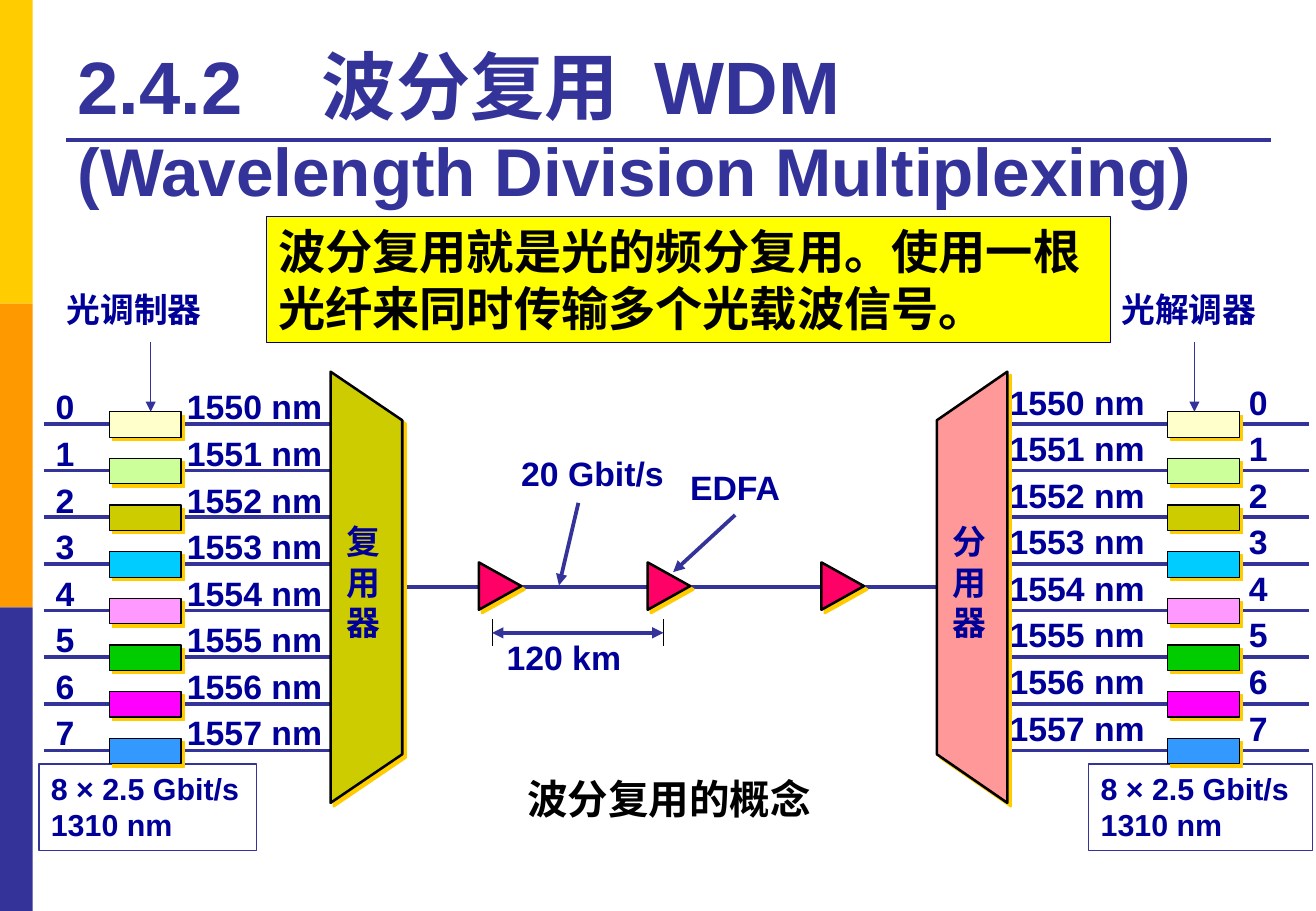
from collections import namedtuple
from dataclasses import dataclass

from lxml import etree
from pptx import Presentation
from pptx.dml.color import RGBColor
from pptx.enum.shapes import MSO_CONNECTOR, MSO_SHAPE
from pptx.enum.text import MSO_ANCHOR, PP_ALIGN
from pptx.oxml.ns import qn
from pptx.util import Pt

PX = 9144  # 100 px to the inch
RECTANGLE, TRIANGLE = MSO_SHAPE.RECTANGLE, MSO_SHAPE.ISOSCELES_TRIANGLE
STRAIGHT = MSO_CONNECTOR.STRAIGHT
TOP, BOTTOM = MSO_ANCHOR.TOP, MSO_ANCHOR.BOTTOM
CENTER = PP_ALIGN.CENTER

Box = namedtuple("Box", "left top width height")
Side = namedtuple("Side", "caption caption_x arrow_x labels tab label_x label_y block_x "
                  "mux mux_fill mux_wide mux_narrow mux_x rate_x rate_width")


@dataclass(frozen=True)
class Theme:
    font: str = "Arial"
    indigo: str = "333399"
    navy: str = "000099"
    black: str = "000000"
    gold: str = "FFCC00"
    orange: str = "FF9900"
    yellow: str = "FFFF00"
    olive: str = "CCCC00"
    salmon: str = "FF9999"
    amplifier: str = "FF0066"
    channels: tuple = ("FFFFCC", "CCFF99", "CCCC00", "00CCFF",
                       "FF99FF", "00CC00", "FF00FF", "3399FF")
    title: int = 44
    subtitle: int = 40
    definition: int = 28
    figure: int = 24
    label: int = 20
    rate: int = 18
    hairline: float = 0.75
    outline: float = 1.5
    heavy: float = 2.25


THEME = Theme()
CHANNELS = range(len(THEME.channels))
CHANNEL_PITCH = 38.4

TRANSMITTER = Side("光调制器", 9, 88, [f"{n}\t{1550 + n} nm" for n in CHANNELS], 108, 0, 75, 54,
                   "复用器", THEME.olive, 236, 295, 239, -4, 179)
RECEIVER = Side("光解调器", 84, 154, [f"{1550 + n} nm\t{n}" for n in CHANNELS], 197, -8, 71, 132,
                "分用器", THEME.salmon, 0, -58, -55, 67, 184)


def rgb(code):
    return RGBColor.from_string(code)


def paint(shape, fill=None, line=None, weight=THEME.hairline):
    if fill:
        shape.fill.solid()
        shape.fill.fore_color.rgb = rgb(fill)
    else:
        shape.fill.background()
    if line:
        shape.line.color.rgb = rgb(line)
        shape.line.width = Pt(weight)
    else:
        shape.line.fill.background()


def drop_shadow(shape):
    """Give the shape a hard gold shadow, down and to the right."""
    shape.shadow.inherit = False
    effects = shape._element.spPr.find(qn("a:effectLst"))
    shadow = etree.SubElement(effects, qn("a:outerShdw"), blurRad="0", dist="35921",
                              dir="2700000", algn="ctr", rotWithShape="0")
    etree.SubElement(shadow, qn("a:srgbClr"), val=THEME.gold)


def add_block(slide, box, fill, line=None, weight=THEME.hairline, kind=RECTANGLE):
    block = slide.shapes.add_shape(kind, *(round(side * PX) for side in box))
    block.shadow.inherit = False
    paint(block, fill, line, weight)
    return block


def add_line(slide, start, end, color=THEME.indigo, weight=THEME.heavy, arrows=()):
    """Draw a line; arrows may name "headEnd" (start) and "tailEnd" (end)."""
    ends = [round(value * PX) for value in (*start, *end)]
    line = slide.shapes.add_connector(STRAIGHT, *ends)
    line.line.color.rgb = rgb(color)
    line.line.width = Pt(weight)
    for arrow in arrows:
        etree.SubElement(line.line._get_or_add_ln(), qn(f"a:{arrow}"), type="triangle")
    etree.SubElement(line._element.spPr, qn("a:effectLst"))


def add_text(slide, box, lines, sizes=(THEME.label,), color=THEME.navy, wrap=False,
             fill=None, border=None, anchor=TOP, tabs=(), **paragraph_format):
    """Write one paragraph per line; the last size holds for the rest."""
    panel = slide.shapes.add_textbox(*(side * PX for side in box))
    paint(panel, fill, border)
    frame = panel.text_frame
    frame.word_wrap = wrap
    frame.vertical_anchor = anchor
    for index, words in enumerate(lines):
        paragraph = frame.paragraphs[0] if index == 0 else frame.add_paragraph()
        for name, value in paragraph_format.items():
            setattr(paragraph, name, value)
        if tabs:
            stops = etree.SubElement(paragraph._p.get_or_add_pPr(), qn("a:tabLst"))
            for tab in tabs:
                etree.SubElement(stops, qn("a:tab"), pos=str(tab * PX), algn="l")
        run = paragraph.add_run()
        run.text = words
        font = {"name": THEME.font, "size": Pt(sizes[min(index, len(sizes) - 1)]), "bold": True}
        for name, value in font.items():
            setattr(run.font, name, value)
        run.font.color.rgb = rgb(color)


def side_stripe(slide, box):
    height = box.height // 3
    for index, color in enumerate((THEME.gold, THEME.orange, THEME.indigo)):
        add_block(slide, Box(box.left, box.top + index * height, box.width, height), color)


def heading(slide, box):
    rule_y = box.top + 94
    add_line(slide, (box.left, rule_y), (box.left + box.width, rule_y))
    add_text(slide, box, ["2.4.2\t波分复用\tWDM", "(Wavelength Division Multiplexing)"],
             (THEME.title, THEME.subtitle), THEME.indigo, wrap=True, anchor=BOTTOM,
             tabs=(201, 475))


def definition(slide, box):
    add_text(slide, box, ["波分复用就是光的频分复用。使用一根光纤来同时传输多个光载波信号。"],
             (THEME.definition,), THEME.black, wrap=True, fill=THEME.yellow, border=THEME.navy)


def fiber_link(slide, box):
    """Draw the shared fiber with its amplifiers, callouts and span length."""
    x, y = box.left, box.top
    fiber_y = y + 115
    add_line(slide, (x, fiber_y), (x + box.width, fiber_y))
    for amplifier_x in (102, 241, 384):
        amplifier = add_block(slide, Box(x + amplifier_x, fiber_y - 18, 39, 35), THEME.amplifier,
                              THEME.black, THEME.outline, TRIANGLE)
        amplifier.rotation = 90
        drop_shadow(amplifier)
    add_text(slide, Box(x + 129, y, 138, 44), ["20 Gbit/s"])
    add_line(slide, (x + 186, y + 46), (x + 170, y + 114), arrows=["tailEnd"])
    add_text(slide, Box(x + 268, y + 11, 95, 44), ["EDFA"])
    add_line(slide, (x + 315, y + 56), (x + 264, y + 103), arrows=["tailEnd"])
    span = (x + 115, x + 256)
    for mark_x in span:
        add_line(slide, (mark_x, y + 142), (mark_x, y + 164), THEME.black, THEME.hairline)
    add_line(slide, (span[0], y + 153), (span[1], y + 153), arrows=["headEnd", "tailEnd"])
    add_text(slide, Box(x + 117, y + 151, 115, 44), ["120 km"])


def multiplexer(slide, box, side):
    wide, narrow = box.left + side.mux_wide, box.left + side.mux_narrow
    top, bottom = box.top + 73, box.top + 428
    outline = slide.shapes.build_freeform(wide, top, scale=PX)
    outline.add_line_segments([(narrow, top + 40), (narrow, bottom - 40), (wide, bottom)])
    body = outline.convert_to_shape()
    paint(body, side.mux_fill, THEME.black, THEME.outline)
    drop_shadow(body)
    add_text(slide, Box(box.left + side.mux_x, box.top + 191, 48, 111), side.mux)


def terminal(slide, box, side):
    """Draw one end of the link: eight channels, their devices and the multiplexer."""
    x, y = box.left, box.top
    add_text(slide, Box(x + side.label_x, y + side.label_y, box.width + 23, 320), side.labels,
             wrap=True, tabs=(side.tab,), line_spacing=1.15)
    add_text(slide, Box(x + side.rate_x, y + 396, side.rate_width, 71),
             ["8 × 2.5 Gbit/s", "1310 nm"], (THEME.rate,), wrap=True, border=THEME.indigo)
    for index, color in enumerate(THEME.channels):
        channel_y = y + 116 + index * CHANNEL_PITCH
        add_line(slide, (x, channel_y), (x + box.width, channel_y))
        drop_shadow(add_block(slide, Box(x + side.block_x, channel_y - 10, 59, 21),
                              color, THEME.black))
    multiplexer(slide, box, side)
    add_text(slide, Box(x + side.caption_x, y, 133, 44), [side.caption])
    add_line(slide, (x + side.arrow_x, y + 49), (x + side.arrow_x, y + 106),
             weight=THEME.hairline, arrows=["tailEnd"])


def figure_caption(slide, box):
    add_text(slide, box, ["波分复用的概念"], (THEME.figure,), THEME.black, wrap=True,
             alignment=CENTER)


def main():
    deck = Presentation()
    deck.slide_width, deck.slide_height = 1083 * PX, 750 * PX
    slide = deck.slides.add_slide(deck.slide_layouts[6])
    side_stripe(slide, Box(0, 0, 27, 750))
    heading(slide, Box(54, 21, 992, 157))
    definition(slide, Box(219, 178, 695, 104))
    fiber_link(slide, Box(290, 368, 533, 195))
    terminal(slide, Box(36, 233, 248, 467), TRANSMITTER)
    terminal(slide, Box(829, 233, 248, 467), RECEIVER)
    figure_caption(slide, Box(331, 632, 439, 50))
    deck.save("out.pptx")


if __name__ == "__main__":
    main()
